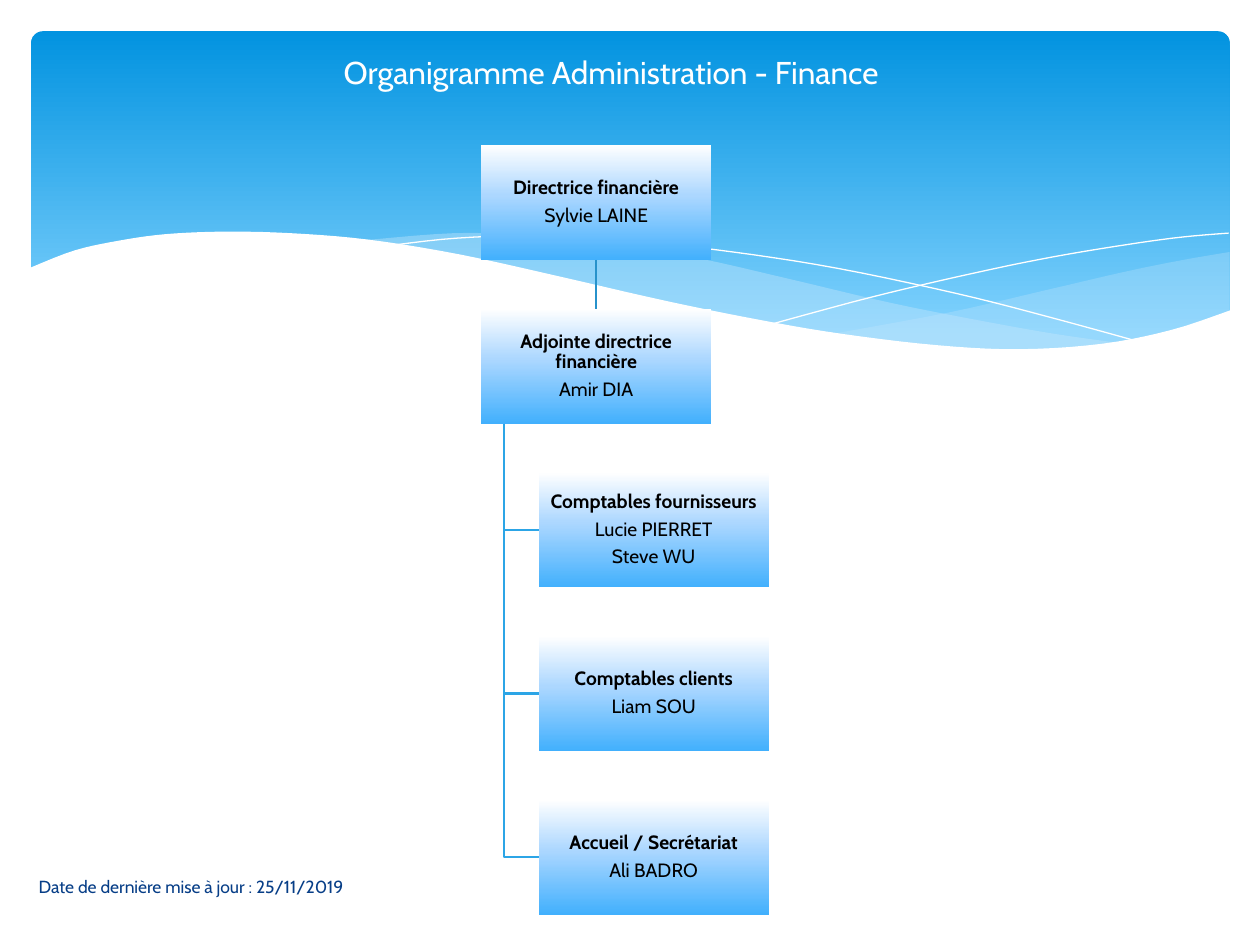
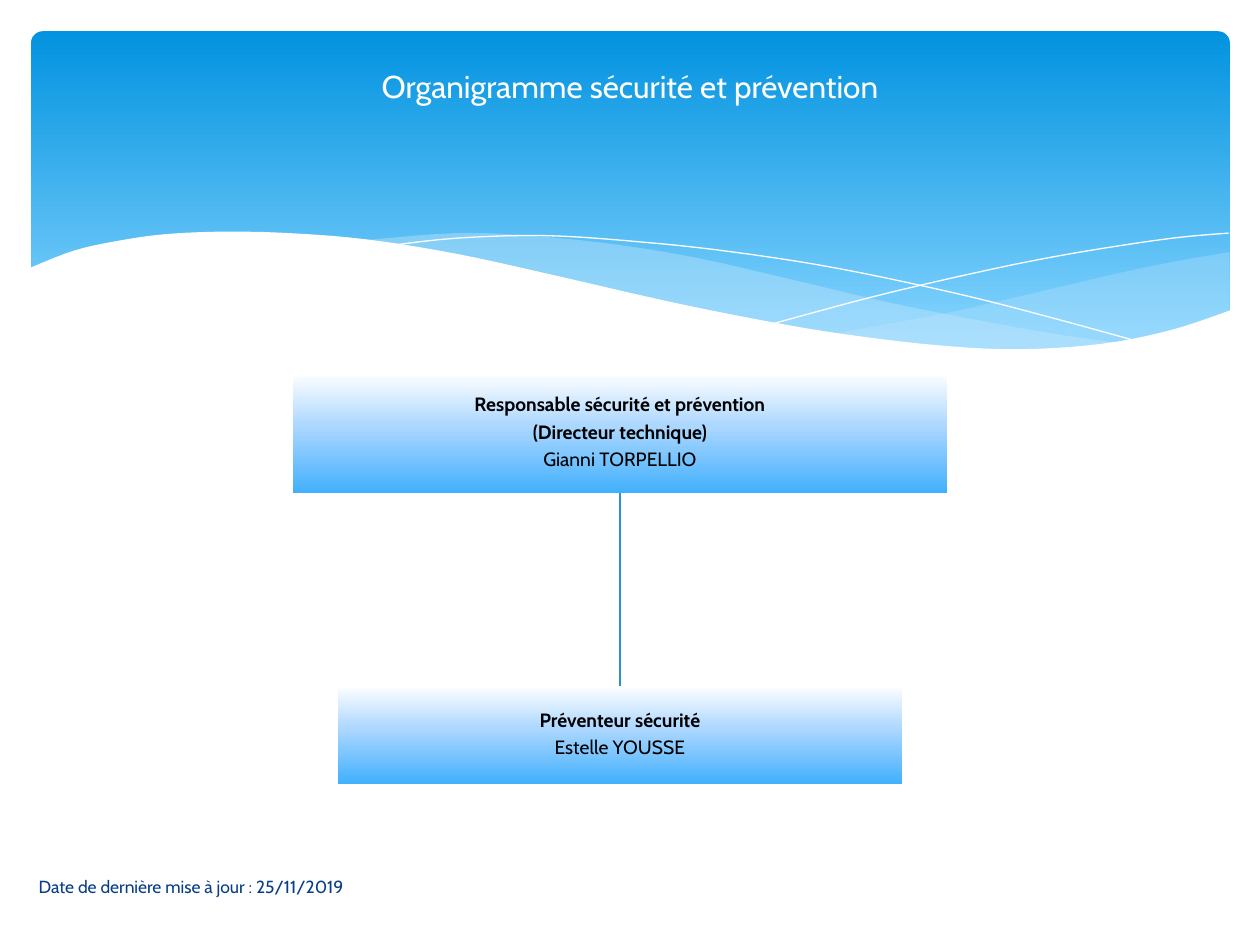
from dataclasses import dataclass

from lxml import etree
from pptx import Presentation
from pptx import util as u
from pptx.dml import color
from pptx.enum import shapes, text
from pptx.oxml import ns


@dataclass(frozen=True)
class Theme:
    font: str = "Cabin"
    title_size: float = 18
    box_size: float = 11
    date_size: float = 10
    line_width: float = 1.25
    white: str = "FFFFFF"
    black: str = "000000"
    date: str = "073E87"
    veil: str = "C6E7FC"
    link: str = "2792CB"
    branch: str = "2CA5E6"
    band_stops: tuple = ((0, "0293E0"), (90, "83D3FE"))
    box_stops: tuple = ((0, "FFFFFF"), (44, "ACD7FF"), (100, "42B0FD"))


THEME = Theme()
UPDATED = "Date de dernière mise à jour : 25/11/2019"

# Wave outlines: key points in centimetres, smoothed when drawn
RIGHT_VEIL = (
    [(24.79, 5.08), (23.75, 5.26), (22.63, 5.49), (21.13, 5.84), (19.13, 6.3),
     (16.79, 6.73)],
    [(16.79, 6.73), (17.91, 6.88), (19.23, 7.01), (20.68, 7.06), (21.92, 6.98),
     (22.99, 6.83), (23.93, 6.58), (24.79, 6.27)],
)
LEFT_VEIL = (
    [(22.68, 6.93), (21.26, 6.73), (19.69, 6.45), (17.93, 6.1), (15.98, 5.64),
     (14.1, 5.21), (12.42, 4.93), (10.67, 4.75), (9.17, 4.7), (7.26, 4.85)],
    [(7.26, 4.85), (9.19, 5.16), (11.4, 5.64), (13.46, 6.1), (15.27, 6.48),
     (17.27, 6.81), (19, 7.01), (20.5, 7.06), (21.77, 7.04), (22.68, 6.93)],
)
FALLING_LINE = [
    (7.85, 4.95), (9.22, 4.8), (11, 4.75), (12.95, 4.88), (14.78, 5.08),
    (16.89, 5.41), (19.3, 5.92), (21.11, 6.38), (23.04, 6.91)]
RISING_LINE = [
    (15.57, 6.53), (17.65, 5.97), (19.71, 5.49), (21.23, 5.18), (22.73, 4.93),
    (23.83, 4.78), (24.77, 4.7)]
WHITE_EDGE = [
    (24.82, 6.25), (23.62, 6.65), (22.22, 6.93), (20.55, 7.04), (18.9, 6.96),
    (16.97, 6.73), (15.32, 6.45), (13.44, 6.07), (11.35, 5.59), (9.27, 5.13),
    (7.42, 4.83), (5.84, 4.7), (4.5, 4.67), (3.35, 4.72), (2.41, 4.85),
    (1.5, 5.05), (0.58, 5.41)]
WHITE_FOOT = [(0.58, 8.36), (24.82, 8.36)]


def smooth(points, steps=5):
    """Pass a Catmull-Rom curve through the key points."""
    padded = [points[0], *points, points[-1]]
    curve = [points[0]]
    for a, b, c, d in zip(padded, padded[1:], padded[2:], padded[3:]):
        for step in range(1, steps + 1):
            t = step / steps
            curve.append(tuple(
                (2 * q + (r - p) * t + (2 * p - 5 * q + 4 * r - s) * t ** 2
                 + (3 * q - p - 3 * r + s) * t ** 3) / 2
                for p, q, r, s in zip(a, b, c, d)))
    return curve


def write(frame, lines, *, size, ink, bold_lines=0, align=text.PP_ALIGN.CENTER,
          inset=None, line_spacing=None, space_after=None):
    """Fill a text frame; the first bold_lines paragraphs are bold."""
    frame.word_wrap = True
    frame.auto_size = text.MSO_AUTO_SIZE.NONE
    frame.vertical_anchor = text.MSO_ANCHOR.MIDDLE
    if inset is not None:
        frame.margin_left = frame.margin_right = u.Cm(inset)
        frame.margin_top = frame.margin_bottom = u.Cm(inset)
    for index, line in enumerate(lines):
        paragraph = frame.add_paragraph() if index else frame.paragraphs[0]
        paragraph.alignment = align
        if line_spacing:
            paragraph.line_spacing = line_spacing
        if space_after:
            paragraph.space_after = u.Pt(space_after)
        run = paragraph.add_run()
        run.text = line
        run.font.name = THEME.font
        run.font.size = u.Pt(size)
        run.font.bold = index < bold_lines
        run.font.color.rgb = color.RGBColor.from_string(ink)


class Chart:
    """Holds the style, the deck and the current slide."""

    def __init__(self, theme):
        self.theme = theme
        self.deck = Presentation()
        self.deck.slide_width, self.deck.slide_height = u.Cm(25.4), u.Cm(19.05)
        self.layout = self.deck.slide_layouts.get_by_name("Title Only")
        self.slide = None

    def new_slide(self, title, left, top, width, height):
        first = self.slide is None
        self.slide = self.deck.slides.add_slide(self.layout)
        if first:
            self.header()
        heading = self.slide.shapes.title
        heading.left, heading.top = u.Cm(left), u.Cm(top)
        heading.width, heading.height = u.Cm(width), u.Cm(height)
        write(heading.text_frame, [title], size=self.theme.title_size,
              ink=self.theme.white)

    def header(self):
        """Draw the blue band and its waves, then place them on the layout."""
        theme = self.theme
        band = self.block(shapes.MSO_SHAPE.ROUNDED_RECTANGLE,
                          0.63, 0.63, 24.16, 6.86, theme.band_stops)
        band.adjustments[0] = 0.034
        parts = [band]
        for (upper, lower), opacity in ((RIGHT_VEIL, 29), (LEFT_VEIL, 40)):
            parts.append(self.outline(smooth(upper) + smooth(lower),
                                      fill=theme.veil, opacity=opacity))
        for wave in (FALLING_LINE, RISING_LINE):
            parts.append(self.outline(smooth(wave), line=theme.white, width=0))
        parts.append(self.outline(smooth(WHITE_EDGE) + WHITE_FOOT,
                                  fill=theme.white))
        tree = self.layout.shapes._spTree
        for order, part in enumerate(parts):
            element = part._element
            element.nvSpPr.cNvPr.set("id", str(100 + order))
            tree.insert(2 + order, element)

    def block(self, kind, left, top, width, height, stops):
        """Add a preset shape with a vertical gradient and no outline."""
        shape = self.slide.shapes.add_shape(
            kind, u.Cm(left), u.Cm(top), u.Cm(width), u.Cm(height))
        shape.shadow.inherit = False
        shape.line.fill.background()
        shape.fill.gradient()
        shape.fill.gradient_angle = 270
        stop_list = shape._element.spPr.find(".//" + ns.qn("a:gsLst"))
        for default in list(stop_list):
            stop_list.remove(default)
        for position, tint in stops:
            stop = etree.SubElement(stop_list, ns.qn("a:gs"),
                                    pos=str(position * 1000))
            etree.SubElement(stop, ns.qn("a:srgbClr"), val=tint)
        return shape

    def outline(self, points, fill=None, opacity=100, line=None, width=0):
        """Add a closed filled outline, or an open line."""
        start, *rest = [(u.Cm(x), u.Cm(y)) for x, y in points]
        builder = self.slide.shapes.build_freeform(*start, scale=1)
        builder.add_line_segments(rest, close=fill is not None)
        shape = builder.convert_to_shape()
        shape.shadow.inherit = False
        if fill:
            shape.fill.solid()
            shape.fill.fore_color.rgb = color.RGBColor.from_string(fill)
            if opacity < 100:
                tint = shape._element.spPr.find(".//" + ns.qn("a:srgbClr"))
                etree.SubElement(tint, ns.qn("a:alpha"), val=str(opacity * 1000))
        else:
            shape.fill.background()
        if line:
            shape.line.color.rgb = color.RGBColor.from_string(line)
            shape.line.width = u.Pt(width)
        else:
            shape.line.fill.background()
        return shape

    def post(self, roles, people, left, top, width, height):
        """Add a box with bold roles above the people who hold them."""
        box = self.block(shapes.MSO_SHAPE.RECTANGLE, left, top, width, height,
                         self.theme.box_stops)
        write(box.text_frame, roles + people, size=self.theme.box_size,
              ink=self.theme.black, bold_lines=len(roles), inset=0.03,
              line_spacing=0.9, space_after=3.85)
        return box

    def link(self, superior, report):
        """Join the bottom of one box to the top of the next."""
        line = self.slide.shapes.add_connector(
            shapes.MSO_CONNECTOR.STRAIGHT, 0, 0, 0, 0)
        line.begin_connect(superior, 2)
        line.end_connect(report, 0)
        line.line.color.rgb = color.RGBColor.from_string(self.theme.link)
        line.line.width = u.Pt(self.theme.line_width)
        etree.SubElement(line._element.spPr, ns.qn("a:effectLst"))

    def branch(self, *points):
        self.outline(points, line=self.theme.branch,
                     width=self.theme.line_width)

    def updated(self):
        note = self.slide.shapes.add_textbox(
            u.Cm(0.53), u.Cm(17.37), u.Cm(10.52), u.Cm(1.02))
        write(note.text_frame, [UPDATED], size=self.theme.date_size,
              ink=self.theme.date, align=text.PP_ALIGN.LEFT)


def finance(chart):
    chart.new_slide("Organigramme Administration - Finance",
                    0.89, 0.74, 22.86, 1.4)
    width, height, pitch = 4.64, 2.32, 3.3
    lead_left, staff_left, first_top = 9.7, 10.86, 2.92
    trunk = lead_left + width / 10

    # Management
    deputy_top = first_top + pitch
    director = chart.post(["Directrice financière"], ["Sylvie LAINE"],
                          lead_left, first_top, width, height)
    deputy = chart.post(["Adjointe directrice financière"], ["Amir DIA"],
                        lead_left, deputy_top, width, height)
    chart.link(director, deputy)

    # Teams under the deputy
    teams = [
        ("Comptables fournisseurs", ["Lucie PIERRET", "Steve WU"]),
        ("Comptables clients", ["Liam SOU"]),
        ("Accueil / Secrétariat", ["Ali BADRO"]),
    ]
    for rank, (role, people) in enumerate(teams, start=1):
        top = deputy_top + rank * pitch
        middle = top + height / 2
        chart.branch((trunk, deputy_top + height), (trunk, middle),
                     (staff_left, middle))
        chart.post([role], people, staff_left, top, width, height)
    chart.updated()


def safety(chart):
    chart.new_slide("Organigramme sécurité et prévention",
                    1.27, 0.94, 22.86, 1.57)
    axis, manager_width, officer_width = 12.5, 13.18, 11.38
    manager = chart.post(
        ["Responsable sécurité et prévention", "(Directeur technique)"],
        ["Gianni TORPELLIO"],
        axis - manager_width / 2, 7.52, manager_width, 2.42)
    officer = chart.post(
        ["Préventeur sécurité"], ["Estelle YOUSSE"],
        axis - officer_width / 2, 13.82, officer_width, 1.98)
    chart.link(manager, officer)
    chart.updated()


def main():
    chart = Chart(THEME)
    finance(chart)
    safety(chart)
    chart.deck.save("out.pptx")


if __name__ == "__main__":
    main()
